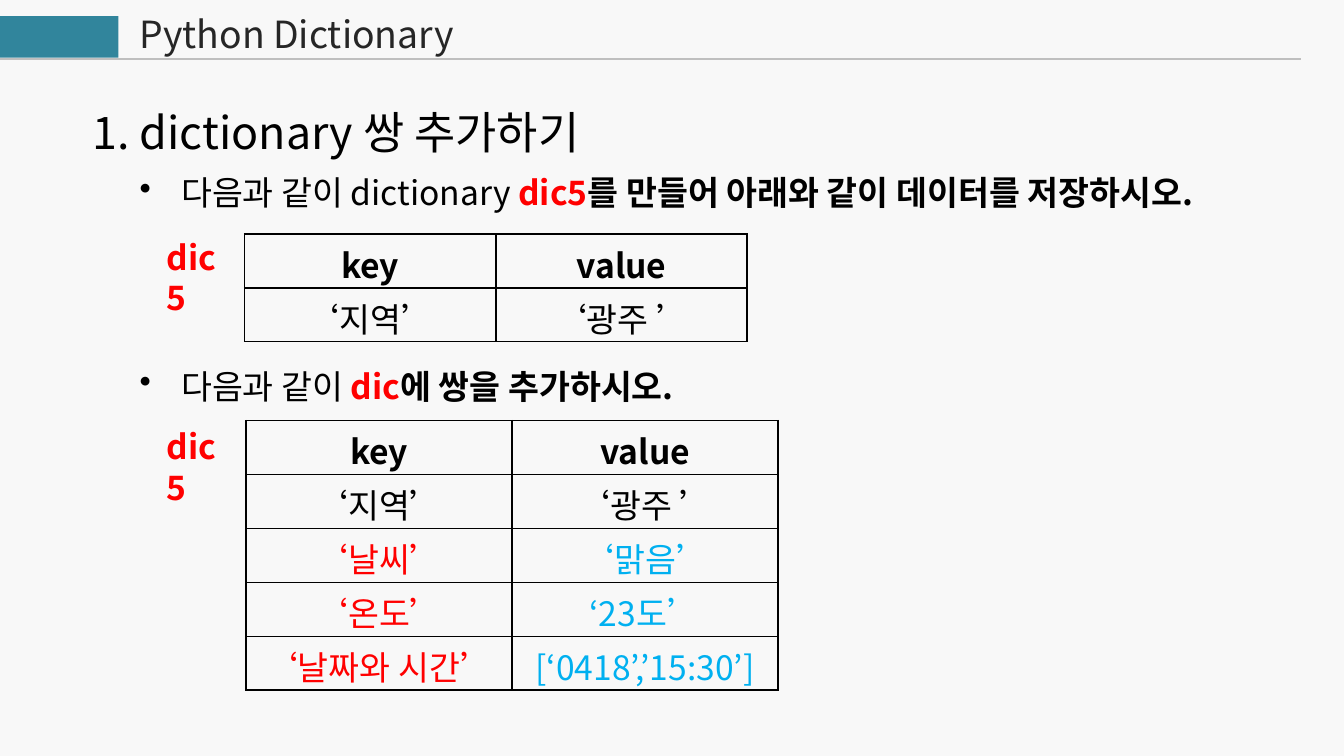
from dataclasses import dataclass

from lxml.etree import SubElement
from pptx import Presentation
from pptx.dml.color import RGBColor
from pptx.enum.shapes import MSO_CONNECTOR, MSO_SHAPE
from pptx.enum.text import MSO_ANCHOR, PP_ALIGN
from pptx.oxml.ns import qn
from pptx.util import Inches, Pt

FONT = "Noto Sans CJK KR"
BLACK = RGBColor(0x00, 0x00, 0x00)
CHARCOAL = RGBColor(0x26, 0x26, 0x26)
RED = RGBColor(0xFF, 0x00, 0x00)
SKY = RGBColor(0x00, 0xB0, 0xF0)
TEAL = RGBColor(0x31, 0x85, 0x9C)
SILVER = RGBColor(0xBF, 0xBF, 0xBF)
PAPER = RGBColor(0xF8, 0xF8, 0xF8)

BODY_SIZE = 18
LINE_FACTOR = 1.21
ROW_HEIGHT = 0.4
BULLET_INDENT = 0.31


@dataclass(frozen=True)
class Span:
    text: str
    color: RGBColor = BLACK
    bold: bool = False
    size: float = BODY_SIZE


@dataclass(frozen=True)
class TextBlock:
    left: float
    top: float
    width: float
    height: float
    spans: tuple[Span, ...]
    bullet: bool = False


@dataclass(frozen=True)
class PairTable:
    left: float
    top: float
    column_width: float
    rows: tuple[tuple[Span, Span], ...]


HEADER = (Span("key", bold=True), Span("value", bold=True))
REGION = (Span("‘지역’"), Span("‘광주 ’"))
ADDED_PAIRS = tuple(
    (Span(key, RED), Span(value, SKY))
    for key, value in (
        ("‘날씨’", "‘맑음’"),
        ("‘온도’", "‘23도’"),
        ("‘날짜와 시간’", "[‘0418’,’15:30’]"),
    )
)


def dictionary_label(top: float) -> TextBlock:
    return TextBlock(1.14, top, 0.7, 0.4, (Span("dic5", RED, True),))


def instruction(top: float, *spans: Span) -> TextBlock:
    return TextBlock(0.94, top, 9.36, 0.4, spans, bullet=True)


TEXT_BLOCKS = (
    TextBlock(0.94, 0.03, 4.85, 0.44, (Span("Python Dictionary", CHARCOAL, size=20),)),
    TextBlock(0.59, 0.73, 4.65, 0.5, (Span("1. dictionary 쌍 추가하기", size=24),)),
    dictionary_label(1.71),
    dictionary_label(3.12),
    instruction(
        1.23,
        Span("다음과 같이 dictionary "),
        Span("dic5", RED, True),
        Span("를 만들어 아래와 같이 데이터를 저장하시오.", bold=True),
    ),
    instruction(
        2.67,
        Span("다음과 같이 "),
        Span("dic", RED, True),
        Span("에 쌍을 추가하시오.", bold=True),
    ),
)
TABLES = (
    PairTable(1.83, 3.13, 1.98, (HEADER, REGION, *ADDED_PAIRS)),
    PairTable(1.82, 1.74, 1.87, (HEADER, REGION)),
)


def add_span(para, span: Span) -> None:
    run = para.add_run()
    run.text = span.text
    font_format = {"name": FONT, "size": Pt(span.size), "bold": span.bold}
    for name, value in font_format.items():
        setattr(run.font, name, value)
    run.font.color.rgb = span.color


def add_bullet(para) -> None:
    properties = para._p.get_or_add_pPr()
    properties.set("marL", str(Inches(BULLET_INDENT)))
    properties.set("indent", str(-Inches(BULLET_INDENT)))
    SubElement(properties, qn("a:buChar"), char="•")


def add_text(page, block: TextBlock) -> None:
    box = page.shapes.add_textbox(
        Inches(block.left), Inches(block.top), Inches(block.width), Inches(block.height)
    )
    box.text_frame.word_wrap = True
    para = box.text_frame.paragraphs[0]
    if block.bullet:
        add_bullet(para)
    para.line_spacing = Pt(block.spans[0].size * LINE_FACTOR)
    for span in block.spans:
        add_span(para, span)


def add_borders(cell) -> None:
    properties = cell._tc.get_or_add_tcPr()
    for side in ("lnL", "lnR", "lnT", "lnB"):
        line = SubElement(properties, qn(f"a:{side}"), w=str(Pt(1)))
        fill = SubElement(line, qn("a:solidFill"))
        SubElement(fill, qn("a:srgbClr"), val=str(BLACK))


def fill_cell(cell, span: Span) -> None:
    cell_format = {
        "vertical_anchor": MSO_ANCHOR.MIDDLE,
        "margin_top": Inches(0.04),
        "margin_bottom": Inches(0),
    }
    for name, value in cell_format.items():
        setattr(cell, name, value)
    add_borders(cell)
    cell.fill.background()
    para = cell.text_frame.paragraphs[0]
    para.alignment = PP_ALIGN.CENTER
    para.line_spacing = Pt(26)
    add_span(para, span)


def add_pair_table(page, pairs: PairTable) -> None:
    table = page.shapes.add_table(
        len(pairs.rows), 2,
        Inches(pairs.left), Inches(pairs.top),
        Inches(2 * pairs.column_width), Inches(ROW_HEIGHT * len(pairs.rows)),
    ).table
    table.first_row = table.horz_banding = False
    for row_index, row in enumerate(pairs.rows):
        for column_index, span in enumerate(row):
            fill_cell(table.cell(row_index, column_index), span)


def add_header_band(page) -> None:
    for left, width, height in ((-0.01, 0.89, 0.31), (0.05, 0.79, 0.3)):
        band = page.shapes.add_shape(
            MSO_SHAPE.RECTANGLE, Inches(left), Inches(0.12), Inches(width), Inches(height)
        )
        band.shadow.inherit = False
        band.fill.solid()
        band.fill.fore_color.rgb = TEAL
        band.line.fill.background()
    rule = page.shapes.add_connector(
        MSO_CONNECTOR.STRAIGHT, Inches(-0.01), Inches(0.44), Inches(9.68), Inches(0.44)
    )
    rule.line.color.rgb = SILVER
    rule.line.width = Pt(1)
    SubElement(rule._element.spPr, qn("a:effectLst"))


def main() -> None:
    deck = Presentation()
    deck.slide_width = Inches(10)
    deck.slide_height = deck.slide_width * 9 // 16
    page = deck.slides.add_slide(deck.slide_layouts[6])
    page.background.fill.solid()
    page.background.fill.fore_color.rgb = PAPER
    add_header_band(page)
    for pairs in TABLES:
        add_pair_table(page, pairs)
    for block in TEXT_BLOCKS:
        add_text(page, block)
    deck.save("out.pptx")


if __name__ == "__main__":
    main()
